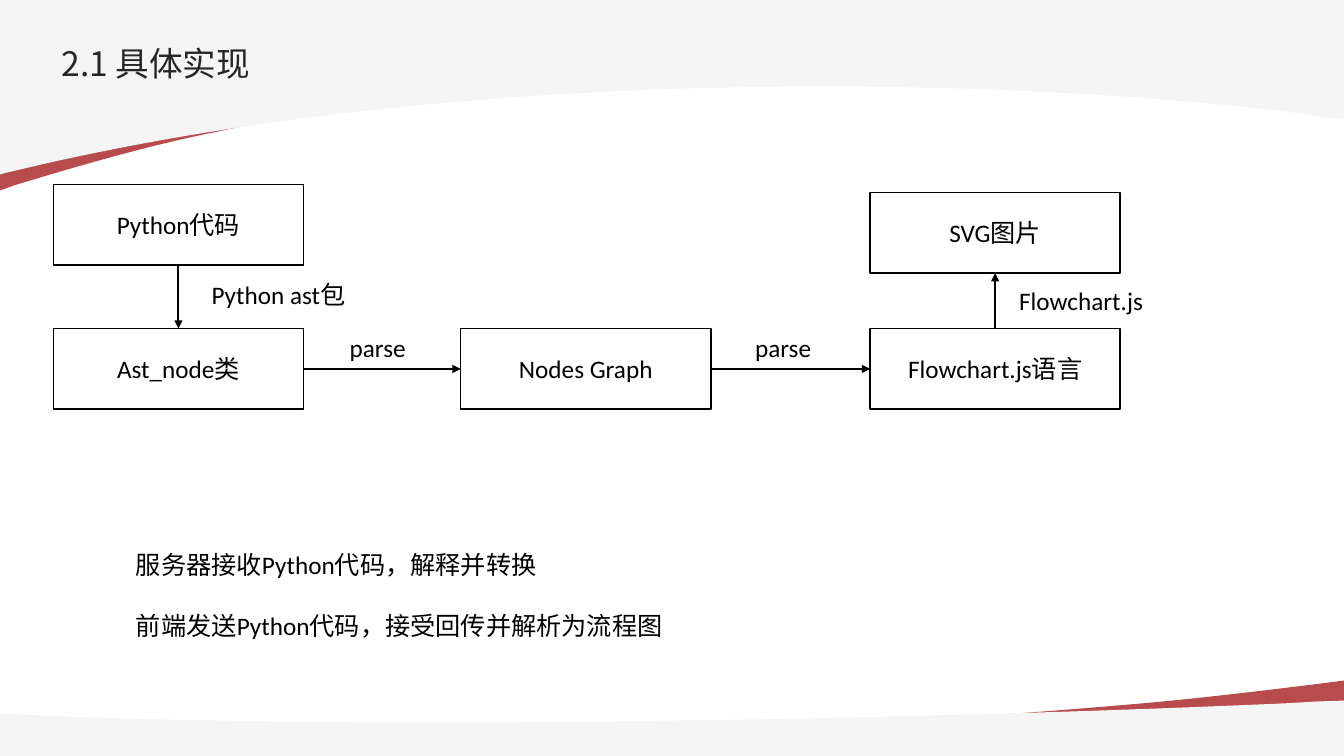
from dataclasses import dataclass

import lxml.etree
import pptx
import pptx.dml.color
import pptx.enum.lang
import pptx.enum.shapes
import pptx.enum.text
import pptx.oxml.ns
import pptx.util

Inches = pptx.util.Inches
Pt = pptx.util.Pt
RGBColor = pptx.dml.color.RGBColor
Point = tuple[float, float]


@dataclass(frozen=True)
class Theme:
    black: RGBColor = RGBColor(0x00, 0x00, 0x00)
    white: RGBColor = RGBColor(0xFF, 0xFF, 0xFF)
    title: RGBColor = RGBColor(0x26, 0x26, 0x26)
    band: RGBColor = RGBColor(0xF5, 0xF5, 0xF5)
    swoosh: RGBColor = RGBColor(0x9A, 0x00, 0x00)
    swoosh_opacity: int = 70
    title_font: str = "Noto Sans CJK SC"
    body_font: str = "Calibri"
    title_size: int = 24
    body_size: int = 18
    box_line: float = 1
    arrow_line: float = 1.5


@dataclass(frozen=True)
class Wave:
    """An outline; a one-point step is a line, a three-point step a cubic curve."""
    start: Point
    steps: list[list[Point]]
    is_swoosh: bool


@dataclass(frozen=True)
class Stage:
    text: str
    left: float
    top: float


@dataclass(frozen=True)
class Flow:
    source: str
    source_side: int
    target: str
    target_side: int


@dataclass(frozen=True)
class Note:
    paragraphs: list[str]
    left: float
    top: float
    width: float
    height: float = 0.4


THEME = Theme()
STAGE_WIDTH, STAGE_HEIGHT = 2.48, 0.8
LEFT_COLUMN, MIDDLE_COLUMN, RIGHT_COLUMN = 0.53, 4.57, 8.63
MAIN_ROW = 3.26
TOP, LEFT, BOTTOM, RIGHT = range(4)

WAVES = [
    Wave((0, 1.89), [[(0, 0.22)], [(13.34, 0.22)], [(13.34, 0.91)], [(13.33, 0.91)],
                     [(10.32, 0.06), (5.14, 0.67), (2.14, 1.31)],
                     [(1.54, 1.43), (0.86, 1.62), (0.14, 1.84)]], True),
    Wave((0, 0), [[(13.33, 0)], [(13.33, 1.19)],
                  [(11.4, 0.87), (5.17, 0.45), (0, 1.73)]], False),
    Wave((13.34, 6.75), [[(13.34, 7.44)], [(0, 7.44)], [(0, 7.15)], [(0.01, 7.16)],
                         [(3.01, 7.5), (8.2, 7.25), (11.19, 6.99)],
                         [(11.79, 6.94), (12.47, 6.86), (13.19, 6.77)]], True),
    Wave((13.34, 6.95), [[(13.34, 7.5)], [(0, 7.5)], [(0, 7.08)], [(0.44, 7.1)],
                         [(3.92, 7.24), (9.1, 7.13), (12.2, 7)],
                         [(12.46, 6.99), (12.75, 6.98), (13.04, 6.96)]], False),
]
STAGES = [
    Stage("Python代码", LEFT_COLUMN, 1.83),
    Stage("Ast_node类", LEFT_COLUMN, MAIN_ROW),
    Stage("Nodes Graph", MIDDLE_COLUMN, MAIN_ROW),
    Stage("Flowchart.js语言", RIGHT_COLUMN, MAIN_ROW),
    Stage("SVG图片", RIGHT_COLUMN, 1.91),
]
FLOWS = [
    Flow("Python代码", BOTTOM, "Ast_node类", TOP),
    Flow("Ast_node类", RIGHT, "Nodes Graph", LEFT),
    Flow("Nodes Graph", RIGHT, "Flowchart.js语言", LEFT),
    Flow("Flowchart.js语言", TOP, "SVG图片", BOTTOM),
]
NOTES = [
    Note(["Python ast包"], 2, 2.72, 1.7),
    Note(["parse"], 3.37, 3.25, 1.52),
    Note(["parse"], 7.39, 3.25, 1.52),
    Note(["Flowchart.js"], 10.01, 2.78, 1.52),
    Note(["服务器接收Python代码，解释并转换",
          "前端发送Python代码，接受回传并解析为流程图"], 1.25, 5.4, 8.09, 1.01),
]


def add_xml(parent, tag: str, **attributes: str):
    return lxml.etree.SubElement(parent, pptx.oxml.ns.qn(tag), attributes)


def add_run(paragraph, text: str, font: str, size: float, color: RGBColor) -> None:
    run = paragraph.add_run()
    run.text = text
    run.font.size = Pt(size)
    run.font.color.rgb = color
    run.font.name = font
    run.font.language_id = pptx.enum.lang.MSO_LANGUAGE_ID.SIMPLIFIED_CHINESE
    add_xml(run.font._element, "a:ea", typeface=font)


def add_body_run(paragraph, text: str) -> None:
    add_run(paragraph, text, THEME.body_font, THEME.body_size, THEME.black)


def bend_steps(shape, steps: list[list[Point]]) -> None:
    """Join the three lines of each three-point step into one cubic curve."""
    lines = iter(list(shape.element.iter(pptx.oxml.ns.qn("a:lnTo"))))
    for step in steps:
        first, *others = [next(lines) for _ in step]
        if others:
            first.tag = pptx.oxml.ns.qn("a:cubicBezTo")
            for line in others:
                first.append(line[0])
                line.getparent().remove(line)


def draw_wave(slide, wave: Wave) -> None:
    builder = slide.shapes.build_freeform(
        Inches(wave.start[0]), Inches(wave.start[1]))
    builder.add_line_segments(
        [(Inches(x), Inches(y)) for step in wave.steps for x, y in step])
    shape = builder.convert_to_shape()
    bend_steps(shape, wave.steps)
    shape.shadow.inherit = False
    shape.line.fill.background()
    shape.fill.solid()
    shape.fill.fore_color.rgb = THEME.swoosh if wave.is_swoosh else THEME.band
    if wave.is_swoosh:
        color = shape.element.spPr.find(".//" + pptx.oxml.ns.qn("a:srgbClr"))
        add_xml(color, "a:alpha", val=str(THEME.swoosh_opacity * 1000))


def draw_title(slide, text: str) -> None:
    title = slide.shapes.title
    title.element.getparent().append(title.element)  # in front of the waves
    title.left, title.top = Inches(0.53), Inches(0.39)
    title.width, title.height = Inches(12), Inches(0.58)
    frame = title.text_frame
    frame.auto_size = pptx.enum.text.MSO_AUTO_SIZE.NONE
    frame.word_wrap = False
    frame.vertical_anchor = pptx.enum.text.MSO_ANCHOR.TOP
    frame.margin_left = frame.margin_top = frame.margin_bottom = Inches(0.08)
    frame.margin_right = 0
    paragraph = frame.paragraphs[0]
    paragraph.alignment = pptx.enum.text.PP_ALIGN.LEFT
    paragraph.line_spacing = 0.9
    add_run(paragraph, text, THEME.title_font, THEME.title_size, THEME.title)


def draw_stage(slide, stage: Stage):
    box = slide.shapes.add_shape(
        pptx.enum.shapes.MSO_SHAPE.FLOWCHART_PROCESS, Inches(stage.left),
        Inches(stage.top), Inches(STAGE_WIDTH), Inches(STAGE_HEIGHT))
    box.shadow.inherit = False
    box.fill.solid()
    box.fill.fore_color.rgb = THEME.white
    box.line.color.rgb = THEME.black
    box.line.width = Pt(THEME.box_line)
    box.text_frame.vertical_anchor = pptx.enum.text.MSO_ANCHOR.MIDDLE
    paragraph = box.text_frame.paragraphs[0]
    paragraph.alignment = pptx.enum.text.PP_ALIGN.CENTER
    add_body_run(paragraph, stage.text)
    return box


def draw_flow(slide, flow: Flow, boxes: dict) -> None:
    arrow = slide.shapes.add_connector(
        pptx.enum.shapes.MSO_CONNECTOR.STRAIGHT, 0, 0, 0, 0)
    arrow.begin_connect(boxes[flow.source], flow.source_side)
    arrow.end_connect(boxes[flow.target], flow.target_side)
    arrow.line.color.rgb = THEME.black
    arrow.line.width = Pt(THEME.arrow_line)
    add_xml(arrow.line._get_or_add_ln(), "a:tailEnd", type="triangle")
    add_xml(arrow.element.spPr, "a:effectLst")


def draw_note(slide, note: Note) -> None:
    frame = slide.shapes.add_textbox(
        Inches(note.left), Inches(note.top),
        Inches(note.width), Inches(note.height)).text_frame
    frame.word_wrap = True
    for index, text in enumerate(note.paragraphs):
        paragraph = frame.add_paragraph() if index else frame.paragraphs[0]
        paragraph.space_before = Pt(22 if index else 0)
        add_body_run(paragraph, text)


def main() -> None:
    deck = pptx.Presentation()
    deck.slide_width, deck.slide_height = Inches(13.33), Inches(7.5)
    slide = deck.slides.add_slide(deck.slide_layouts[5])
    for wave in WAVES:
        draw_wave(slide, wave)
    draw_title(slide, "2.1 具体实现")
    boxes = {stage.text: draw_stage(slide, stage) for stage in STAGES}
    for flow in FLOWS:
        draw_flow(slide, flow, boxes)
    for note in NOTES:
        draw_note(slide, note)
    deck.save("out.pptx")


if __name__ == "__main__":
    main()
